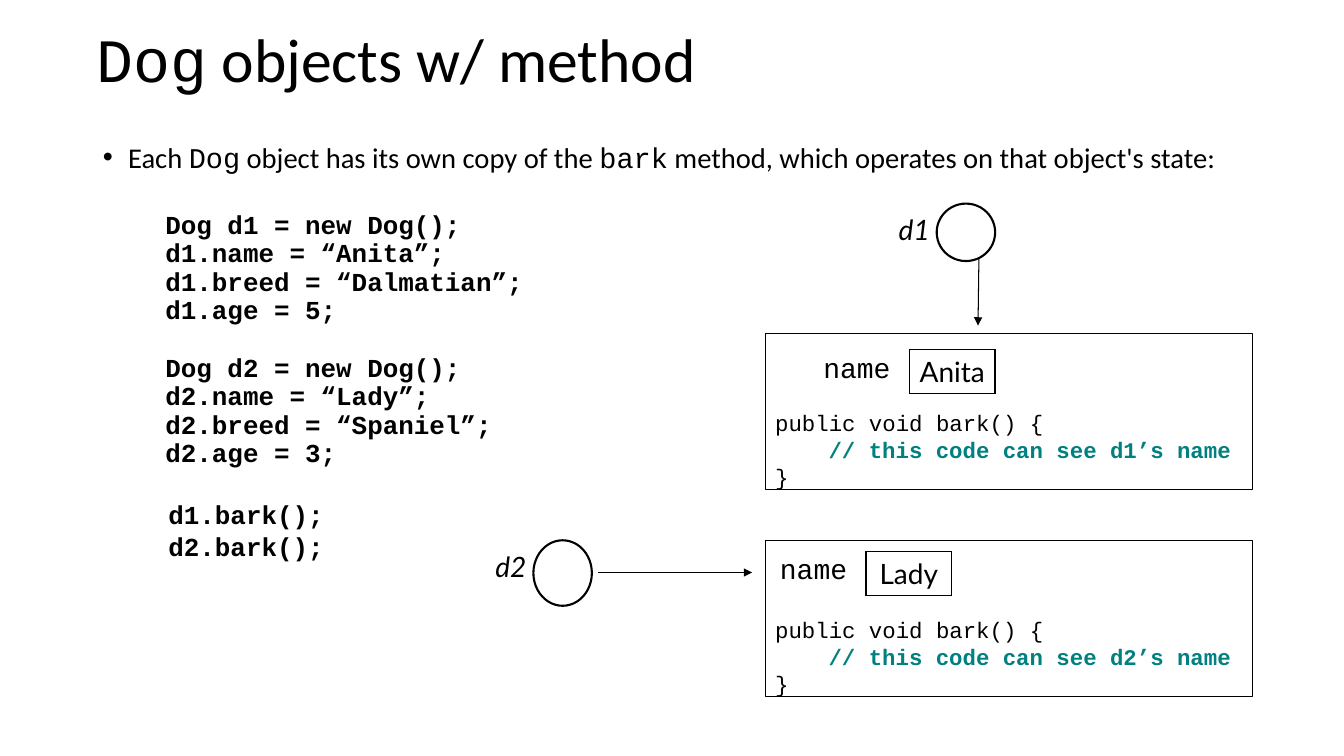
from lxml.etree import SubElement
from pptx import Presentation
from pptx.dml.color import RGBColor
from pptx.enum.shapes import MSO_CONNECTOR, MSO_SHAPE
from pptx.enum.text import MSO_ANCHOR, MSO_AUTO_SIZE, PP_ALIGN
from pptx.oxml.ns import qn
from pptx.util import Inches, Pt

COLORS = {"ink": "000000", "comment": "008080", "paper": "FFFFFF"}
MONO, SANS, LABEL = "Courier New", "Calibri", "Lato"
PLAIN_TABLE = "{2D5ABB26-0587-4C30-8999-92F81FD0307C}"
OBJECT_SIZE = (4.83, 1.55)
CODE_GROUPS = [
    (26.6, 0, 0.62, ["Dog d1 = new Dog();", "d1.name = “Anita”;",
                     "d1.breed = “Dalmatian”;", "d1.age = 5;"]),
    (20.4, 0, 0.62, ["Dog d2 = new Dog();", "d2.name = “Lady”;",
                     "d2.breed = “Spaniel”;", "d2.age = 3;"]),
    (24, 2.5, 0.65, ["d1.bark();", "d2.bark();"]),
]


def color(name):
    """Return the palette colour of that name."""
    return RGBColor.from_string(COLORS[name])


def set_font(font, size, face, ink="ink", bold=False, italic=False):
    """Set size, face, colour and style of a font."""
    font.size, font.name = Pt(size), face
    font.bold, font.italic = bold, italic
    font.color.rgb = color(ink)


def set_indent(paragraph, margin, hanging=0):
    """Set the left margin and hanging indent of a paragraph in inches."""
    properties = paragraph._p.get_or_add_pPr()
    properties.set("marL", str(Inches(margin)))
    properties.set("indent", str(-Inches(hanging)))
    return properties


def add_mixed_runs(paragraph, pieces, size):
    """Write runs that alternate between prose and code faces."""
    for text, face in pieces:
        run = paragraph.add_run()
        run.text = text
        set_font(run.font, size, face)


def place(placeholder, left, top, width, height):
    """Move a placeholder to a box given in inches."""
    placeholder.left, placeholder.top = Inches(left), Inches(top)
    placeholder.width, placeholder.height = Inches(width), Inches(height)
    placeholder.text_frame.auto_size = MSO_AUTO_SIZE.NONE
    return placeholder.text_frame


def fill_title(title, *box):
    """Fill the title placeholder."""
    frame = place(title, *box)
    frame.vertical_anchor = MSO_ANCHOR.MIDDLE
    heading = frame.paragraphs[0]
    heading.alignment, heading.line_spacing = PP_ALIGN.LEFT, 0.9
    add_mixed_runs(heading, [("Dog", MONO), (" objects w/ method", SANS)], 44)


def fill_body(body, *box):
    """Fill the body placeholder with the bullet and the client code."""
    frame = place(body, *box)
    statement = frame.paragraphs[0]
    set_indent(statement, 0.25, 0.25)
    statement.line_spacing, statement.space_before = 1.1, Pt(10)
    add_mixed_runs(statement, [
        ("Each ", SANS), ("Dog", MONO),
        (" object has its own copy of the ", SANS), ("bark", MONO),
        (" method, which operates on that object's state:", SANS)], 20.4)
    for gap, spacing, margin, lines in CODE_GROUPS:
        for index, line in enumerate(lines):
            code = frame.add_paragraph()
            code.text = line
            set_font(code.font, 18.5, MONO, bold=True)
            SubElement(set_indent(code, margin), qn("a:buNone"))
            code.line_spacing = Pt(20.4)
            code.space_before = Pt(spacing if index else gap)


def add_field(slide, value, left, top):
    """Add the name field and its boxed value as a one-row table."""
    widths = [0.61, 0.29, 1.04, 0.85]
    frame = slide.shapes.add_table(1, len(widths), Inches(left), Inches(top),
                                   Inches(sum(widths)), Inches(0.43))
    field = frame.table
    field.first_row = field.horz_banding = False
    field._tbl.tblPr.find(qn("a:tableStyleId")).text = PLAIN_TABLE
    for column, width in zip(field.columns, widths):
        column.width = Inches(width)
    contents = [("", MONO, ()), ("", MONO, ()), ("name", MONO, ("lnR",)),
                (value, LABEL, ("lnL", "lnR", "lnT", "lnB"))]
    for cell, (text, face, edges) in zip(field.rows[0].cells, contents):
        for edge in edges:
            border = SubElement(cell._tc.get_or_add_tcPr(), qn("a:" + edge),
                                w=str(Pt(1)))
            paint = SubElement(border, qn("a:solidFill"))
            SubElement(paint, qn("a:srgbClr"), val=COLORS["ink"])
        cell.fill.background()
        if text:
            cell.text = text
            entry = cell.text_frame.paragraphs[0]
            entry.alignment = PP_ALIGN.CENTER
            set_font(entry.font, 20, face)


def add_object(slide, variable, value, left, top, field_offset):
    """Add a Dog object with its bark method and its name field."""
    box = slide.shapes.add_shape(MSO_SHAPE.RECTANGLE, Inches(left), Inches(top),
                                 *map(Inches, OBJECT_SIZE))
    box.shadow.inherit = False
    box.fill.background()
    box.line.color.rgb, box.line.width = color("ink"), Pt(0.75)
    frame = box.text_frame
    frame.word_wrap, frame.margin_bottom = True, 0
    frame.vertical_anchor = MSO_ANCHOR.BOTTOM
    comment = f"// this code can see {variable}’s name"
    method = ["public void bark() {", comment, "}"]
    frame.text = "\n".join(method)
    for line in frame.paragraphs:
        is_comment = line.text == comment
        line.alignment, line.line_spacing = PP_ALIGN.LEFT, Pt(19.2)
        set_indent(line, 0.53 if is_comment else 0)
        set_font(line.font, 16, MONO, "comment" if is_comment else "ink",
                 bold=is_comment)
    across, down = field_offset
    add_field(slide, value, left + across, top + down)


def add_reference(slide, variable, left, top, height, start, end):
    """Add a variable's label, its circle and the arrow to its object."""
    label_width = 2.28
    label = slide.shapes.add_textbox(
        Inches(left + 0.03 - label_width), Inches(top + 0.04),
        Inches(label_width), Inches(0.5))
    label.text_frame.word_wrap = True
    label.text_frame.text = variable
    caption = label.text_frame.paragraphs[0]
    caption.alignment = PP_ALIGN.RIGHT
    set_font(caption.font, 20, LABEL, italic=True)

    arrow = slide.shapes.add_connector(
        MSO_CONNECTOR.STRAIGHT, *(Inches(left + start[0]), Inches(top + start[1])),
        *(Inches(left + end[0]), Inches(top + end[1])))
    arrow.line.color.rgb, arrow.line.width = color("ink"), Pt(0.75)
    SubElement(arrow.line._get_or_add_ln(), qn("a:tailEnd"), type="triangle")
    SubElement(arrow._element.spPr, qn("a:effectLst"))

    circle = slide.shapes.add_shape(MSO_SHAPE.OVAL, Inches(left), Inches(top),
                                    Inches(0.58), Inches(height))
    circle.shadow.inherit = False
    circle.fill.solid()
    circle.fill.fore_color.rgb = color("paper")
    circle.line.color.rgb, circle.line.width = color("ink"), Pt(1.5)


def main():
    """Build the slide and save it."""
    deck = Presentation()
    deck.slide_width, deck.slide_height = Inches(13.33), Inches(7.5)
    slide = deck.slides.add_slide(deck.slide_layouts[1])
    fill_title(slide.shapes.title, 0.86, 0, 9, 1.25)
    fill_body(slide.placeholders[1], 0.92, 1.3, 11.5, 4.76)
    add_object(slide, "d1", "Anita", 7.59, 3.31, (-0.51, 0.16))
    add_object(slide, "d2", "Lady", 7.59, 5.36, (-0.94, 0.11))
    add_reference(slide, "d1", 9.29, 2.02, 0.57, (0.42, 0.48), (0.41, 1.21))
    add_reference(slide, "d2", 5.29, 5.36, 0.65, (0.64, 0.32), (2.17, 0.32))
    deck.save("out.pptx")


if __name__ == "__main__":
    main()
